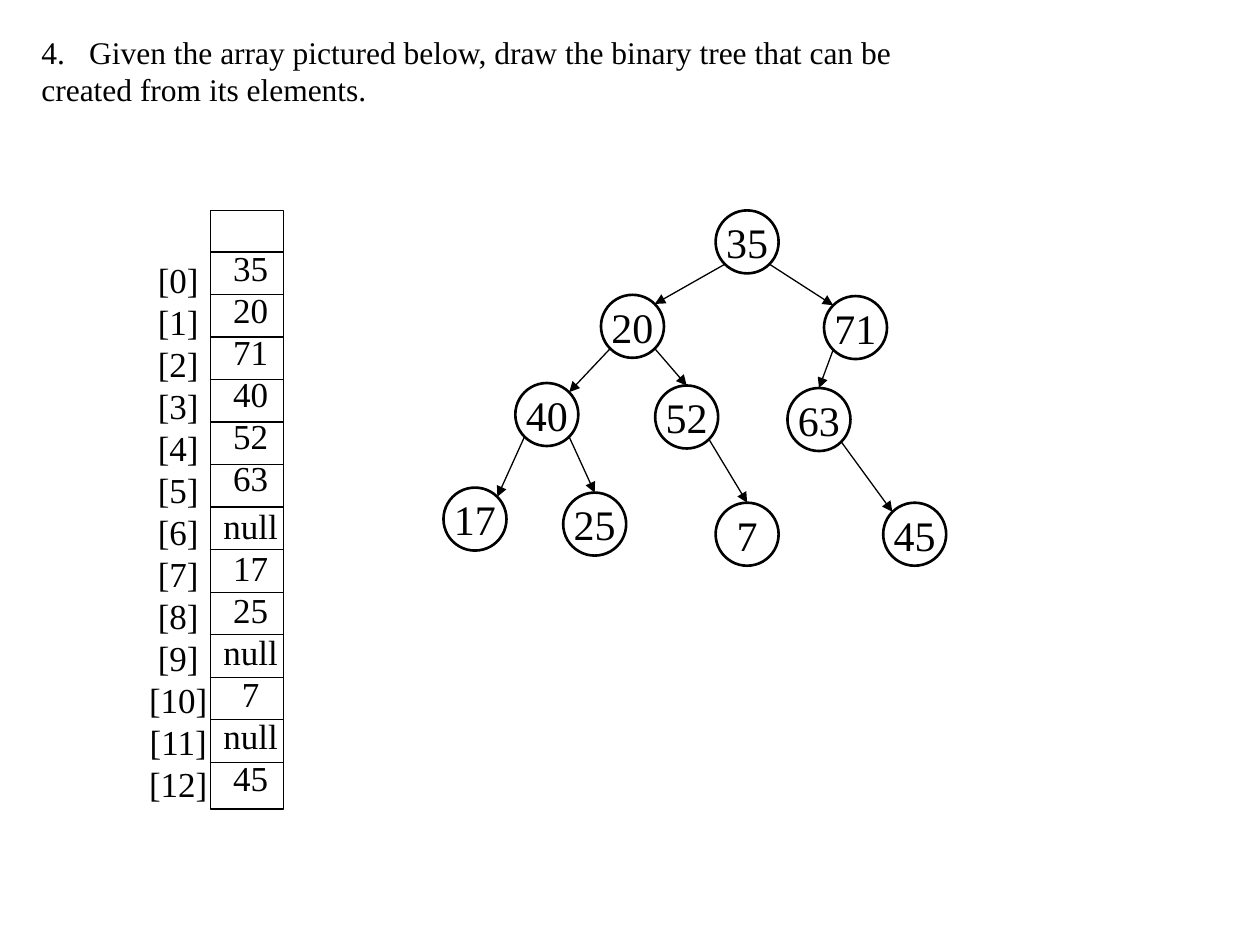
from lxml import etree
from pptx import Presentation, util as u
from pptx.dml.color import RGBColor
from pptx.enum import shapes, text
from pptx.oxml.ns import qn

BLACK = RGBColor(0x00, 0x00, 0x00)
FONT = "Times New Roman"
LINE_RATIO = 1.2
VALUES = ["35", "20", "71", "40", "52", "63", "null",
          "17", "25", "null", "7", "null", "45"]
NODE_SIZE = 0.5
RADIUS = NODE_SIZE / 2
DIAGONAL = RADIUS * 0.71

# Value: left and top of each node, relative to the tree box
NODES = {
    "35": (2.16, 0), "20": (1.25, 0.67), "71": (3.02, 0.68),
    "40": (0.57, 1.37), "52": (1.68, 1.39), "63": (2.73, 1.41),
    "17": (0, 2.2), "25": (0.95, 2.24), "7": (2.16, 2.32), "45": (3.49, 2.32),
}
# Offsets from a node's centre to the points where arrows attach
SITES = {
    "top": (0, -RADIUS),
    "top left": (-DIAGONAL, -DIAGONAL), "top right": (DIAGONAL, -DIAGONAL),
    "bottom left": (-DIAGONAL, DIAGONAL), "bottom right": (DIAGONAL, DIAGONAL),
}
EDGES = [
    ("35", "bottom left", "20", "top right"),
    ("35", "bottom right", "71", "top left"),
    ("20", "bottom left", "40", "top right"),
    ("20", "bottom right", "52", "top"),
    ("71", "bottom left", "63", "top"),
    ("40", "bottom left", "17", "top right"),
    ("40", "bottom right", "25", "top"),
    ("52", "bottom right", "7", "top"),
    ("63", "bottom right", "45", "top left"),
]


def write(frame, lines, size, align=text.PP_ALIGN.LEFT,
          anchor=text.MSO_ANCHOR.TOP, spaced=True):
    """Fill a text frame with one paragraph per line and return them."""
    frame.word_wrap = False
    frame.vertical_anchor = anchor
    for index, line in enumerate(lines):
        para = frame.add_paragraph() if index else frame.paragraphs[0]
        para.alignment = align
        if spaced:
            para.line_spacing = u.Pt(size * LINE_RATIO)
        span = para.add_run()
        span.text = line
        span.font.name = FONT
        span.font.size = u.Pt(size)
        span.font.color.rgb = BLACK
    return frame.paragraphs


def add_text(slide, box, lines, size, **options):
    frame = slide.shapes.add_textbox(*map(u.Inches, box)).text_frame
    return write(frame, lines, size, **options)


def add_outline(slide, kind, box, width):
    shape = slide.shapes.add_shape(kind, *map(u.Inches, box))
    shape.shadow.inherit = False
    shape.fill.background()
    shape.line.color.rgb = BLACK
    shape.line.width = u.Pt(width)
    return shape


def add_line(slide, start, end, arrow=False):
    line = slide.shapes.add_connector(
        shapes.MSO_CONNECTOR.STRAIGHT, *map(u.Inches, (*start, *end)))
    line.line.color.rgb = BLACK
    line.line.width = u.Pt(0.75)
    properties = line._element.spPr
    if arrow:
        etree.SubElement(properties.find(qn("a:ln")), qn("a:tailEnd"),
                         type="triangle")
    etree.SubElement(properties, qn("a:effectLst"))


def draw_question(slide, box):
    paras = add_text(slide, box, [
        "Given the array pictured below, draw the binary tree that can be",
        "created from its elements."], 18)
    # Number the first paragraph 4 with a hanging indent
    indent = u.Inches(0.38)
    properties = paras[0]._p.get_or_add_pPr()
    properties.set("marL", str(indent))
    properties.set("indent", str(-indent))
    etree.SubElement(properties, qn("a:buFont"), typeface=FONT)
    etree.SubElement(properties, qn("a:buAutoNum"),
                     type="arabicPeriod", startAt="4")


def draw_array(slide, box):
    left, top, width, height = box
    center = text.PP_ALIGN.CENTER
    add_outline(slide, shapes.MSO_SHAPE.RECTANGLE, box, 0.75)

    # Cell dividers
    first, last = top + 0.33, top + 4.38
    step = (last - first) / (len(VALUES) - 1)
    for row in range(len(VALUES)):
        y = first + row * step
        add_line(slide, (left, y), (left + width, y))

    # Indexes beside the cells, values inside them
    indexes = [f"[{row}]" for row in range(len(VALUES))]
    add_text(slide, (left - 0.59, first, 0.67, 4.48), indexes, 20, align=center)
    paras = add_text(slide, (left, top + 0.24, 0.64, 4.48), VALUES, 20,
                     align=center)
    paras[VALUES.index("null")].space_before = u.Pt(3)


def draw_tree(slide, box):
    left, top = box[:2]

    # Nodes
    for value, (x, y) in NODES.items():
        node = add_outline(slide, shapes.MSO_SHAPE.OVAL,
                           (left + x, top + y, NODE_SIZE, NODE_SIZE), 1.5)
        write(node.text_frame, [value], 24, align=text.PP_ALIGN.CENTER,
              anchor=text.MSO_ANCHOR.MIDDLE, spaced=False)

    def site_point(value, site):
        (x, y), (dx, dy) = NODES[value], SITES[site]
        return left + x + RADIUS + dx, top + y + RADIUS + dy

    # Arrows from parent to child
    for parent, start, child, end in EDGES:
        add_line(slide, site_point(parent, start), site_point(child, end),
                 arrow=True)


def main():
    deck = Presentation()
    deck.slide_width, deck.slide_height = u.Inches(10), u.Inches(7.5)
    slide = deck.slides.add_slide(deck.slide_layouts[6])
    draw_array(slide, (1.67, 1.67, 0.58, 4.75))
    draw_question(slide, (0.23, 0.21, 7.02, 0.71))
    draw_tree(slide, (3.52, 1.67, 3.99, 2.82))
    deck.save("out.pptx")


if __name__ == "__main__":
    main()
